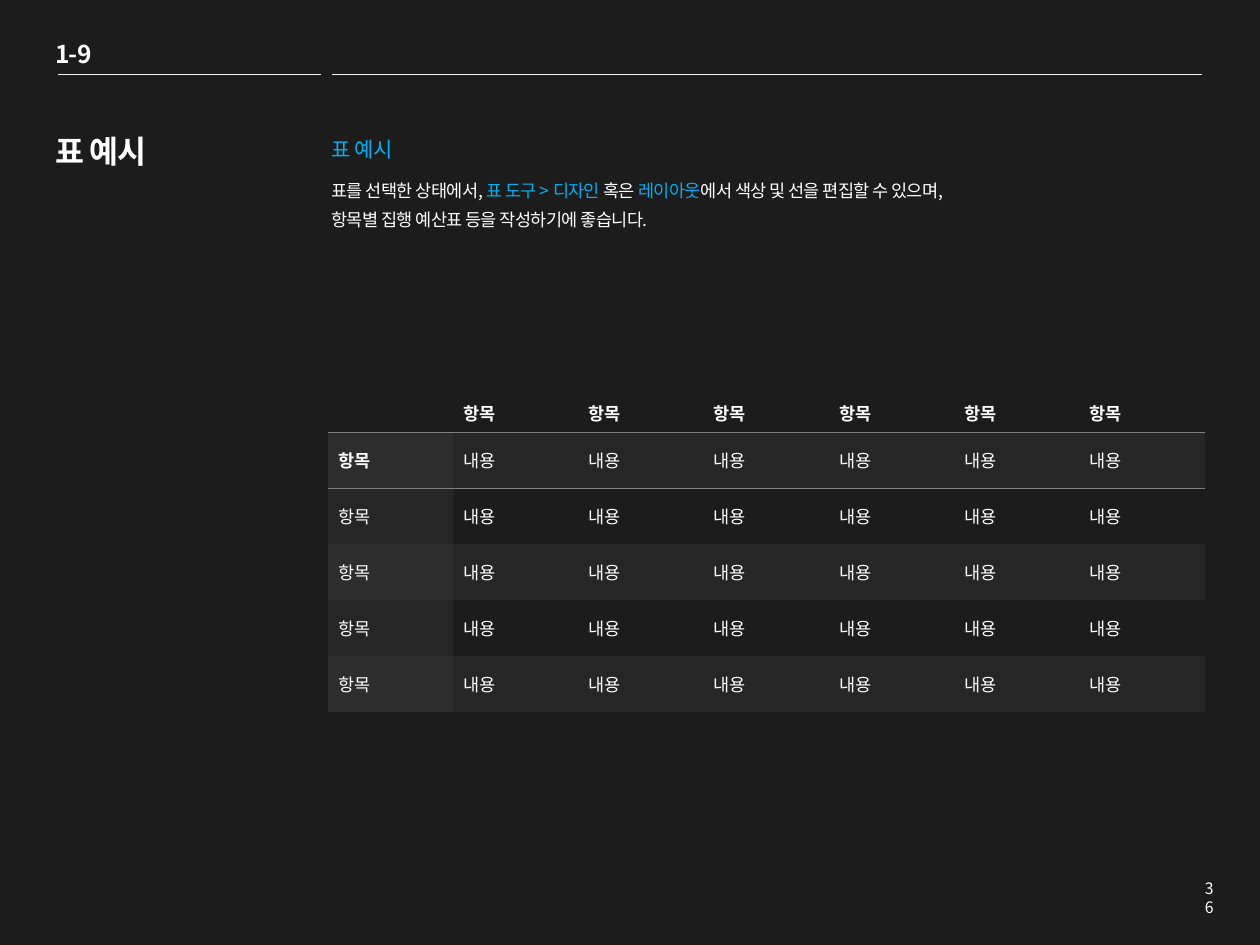
from lxml import etree
from pptx import Presentation, util as u
from pptx.dml.color import RGBColor
from pptx.enum import shapes, text
from pptx.oxml.ns import qn

PX = 914400 // 126
FONT = "Noto Sans CJK KR"
NO_GRID_STYLE = "{2D5ABB26-0587-4C30-8999-92F81FD0307C}"
COLORS = {
    "background": "1C1C1C", "text": "FFFFFF", "accent": "00B0F0",
    "rule": "F2F2F2", "header_rule": "7F7F7F",
    "band": "262626", "label_band": "2D2D2D",
}

# Each text: box, wrap, (size, bold, tracking, line spacing, alignment), paragraphs of (words, colour)
LEFT, RIGHT = text.PP_ALIGN.LEFT, text.PP_ALIGN.RIGHT
TEXTS = [
    ((43, 33, 62, 43), False, (14, True, -50, None, LEFT), [[("1-9", "text")]]),
    ((43, 126, 218, 203), True, (18, True, -50, None, LEFT), [[("표 예시", "text")]]),
    ((319, 130, 670, 38), True, (12, False, -20, None, LEFT), [[("표 예시", "accent")]]),
    ((319, 165, 770, 69), True, (10, False, -30, 1.4, LEFT), [
        [("표를 선택한 상태에서, ", "text"), ("표 도구 > 디자인 ", "accent"),
         ("혹은 ", "text"), ("레이아웃", "accent"),
         ("에서 색상 및 선을 편집할 수 있으며,", "text")],
        [("항목별 집행 예산표 등을 작성하기에 좋습니다.", "text")],
    ]),
    ((1191, 873, 35, 32), True, (9, False, 0, None, RIGHT), [[("36", "text")]]),
]
RULES = [(58, 321), (332, 1202)]
RULE_Y = 74

TABLE = [["", *["항목"] * 6]] + [["항목", *["내용"] * 6] for _ in range(5)]
TABLE_LEFT, TABLE_TOP, TABLE_WIDTH = 328, 394, 877
HEADER_HEIGHT, ROW_HEIGHT = 37, 56


def rgb(name):
    return RGBColor.from_string(COLORS[name])


def style_run(run, size, color, bold=False, tracking=0):
    run.font.size = u.Pt(size)
    run.font.bold = bold
    run.font.color.rgb = rgb(color)
    run.font.name = FONT
    properties = run._r.get_or_add_rPr()
    etree.SubElement(properties, qn("a:ea"), typeface=FONT)
    if tracking:
        properties.set("spc", str(tracking))


def add_text(slide, box, wrap, style, paragraphs):
    size, bold, tracking, spacing, alignment = style
    frame = slide.shapes.add_textbox(*(n * PX for n in box)).text_frame
    frame.word_wrap = wrap
    for index, parts in enumerate(paragraphs):
        paragraph = frame.add_paragraph() if index else frame.paragraphs[0]
        paragraph.alignment = alignment
        if spacing:
            paragraph.line_spacing = spacing
        for words, color in parts:
            run = paragraph.add_run()
            run.text = words
            style_run(run, size, color, bold, tracking)


def add_rule(slide, start, end):
    rule = slide.shapes.add_connector(
        shapes.MSO_CONNECTOR.STRAIGHT, start * PX, RULE_Y * PX, end * PX, RULE_Y * PX)
    rule.line.color.rgb = rgb("rule")
    rule.line.width = u.Pt(0.25)
    etree.SubElement(rule._element.spPr, qn("a:effectLst"))


def add_border(cell, side):
    border = etree.SubElement(cell._tc.get_or_add_tcPr(), qn(f"a:{side}"), w="3175")
    fill = etree.SubElement(border, qn("a:solidFill"))
    etree.SubElement(fill, qn("a:srgbClr"), val=COLORS["header_rule"])


def band_color(row, column):
    """Odd rows are banded, and the label column is one step lighter."""
    if row == 0:
        return None
    level = row % 2 + (column == 0)
    return (None, "band", "label_band")[level]


def fill_cell(cell, row, column, words):
    cell.vertical_anchor = text.MSO_ANCHOR.MIDDLE
    cell.margin_left, cell.margin_right = u.Inches(0.08), u.Inches(0.1)
    cell.margin_top = cell.margin_bottom = u.Inches(0.05)
    if row < 2:
        add_border(cell, ("lnB", "lnT")[row])
    color = band_color(row, column)
    if color:
        cell.fill.solid()
        cell.fill.fore_color.rgb = rgb(color)
    else:
        cell.fill.background()
    paragraph = cell.text_frame.paragraphs[0]
    if words:
        paragraph.text = words
        style_run(paragraph.runs[0], 10, "text", bold=row == 0 or (row, column) == (1, 0))
    else:
        etree.SubElement(paragraph._p, qn("a:endParaRPr"), sz="1000")


def add_budget_table(slide):
    heights = [HEADER_HEIGHT] + [ROW_HEIGHT] * (len(TABLE) - 1)
    columns = len(TABLE[0])
    frame = slide.shapes.add_table(
        len(TABLE), columns, TABLE_LEFT * PX, TABLE_TOP * PX,
        TABLE_WIDTH * PX, sum(heights) * PX)
    table = frame.table
    table.horz_banding = False
    table._tbl.tblPr.find(qn("a:tableStyleId")).text = NO_GRID_STYLE
    for column in table.columns:
        column.width = TABLE_WIDTH * PX // columns
    for row, height in enumerate(heights):
        table.rows[row].height = height * PX
        for column, words in enumerate(TABLE[row]):
            fill_cell(table.cell(row, column), row, column, words)


def main():
    deck = Presentation()
    deck.slide_width, deck.slide_height = u.Inches(10), u.Inches(7.5)
    slide = deck.slides.add_slide(deck.slide_layouts[6])
    slide.background.fill.solid()
    slide.background.fill.fore_color.rgb = rgb("background")
    add_budget_table(slide)
    for start, end in RULES:
        add_rule(slide, start, end)
    for entry in TEXTS:
        add_text(slide, *entry)
    deck.save("out.pptx")


if __name__ == "__main__":
    main()
